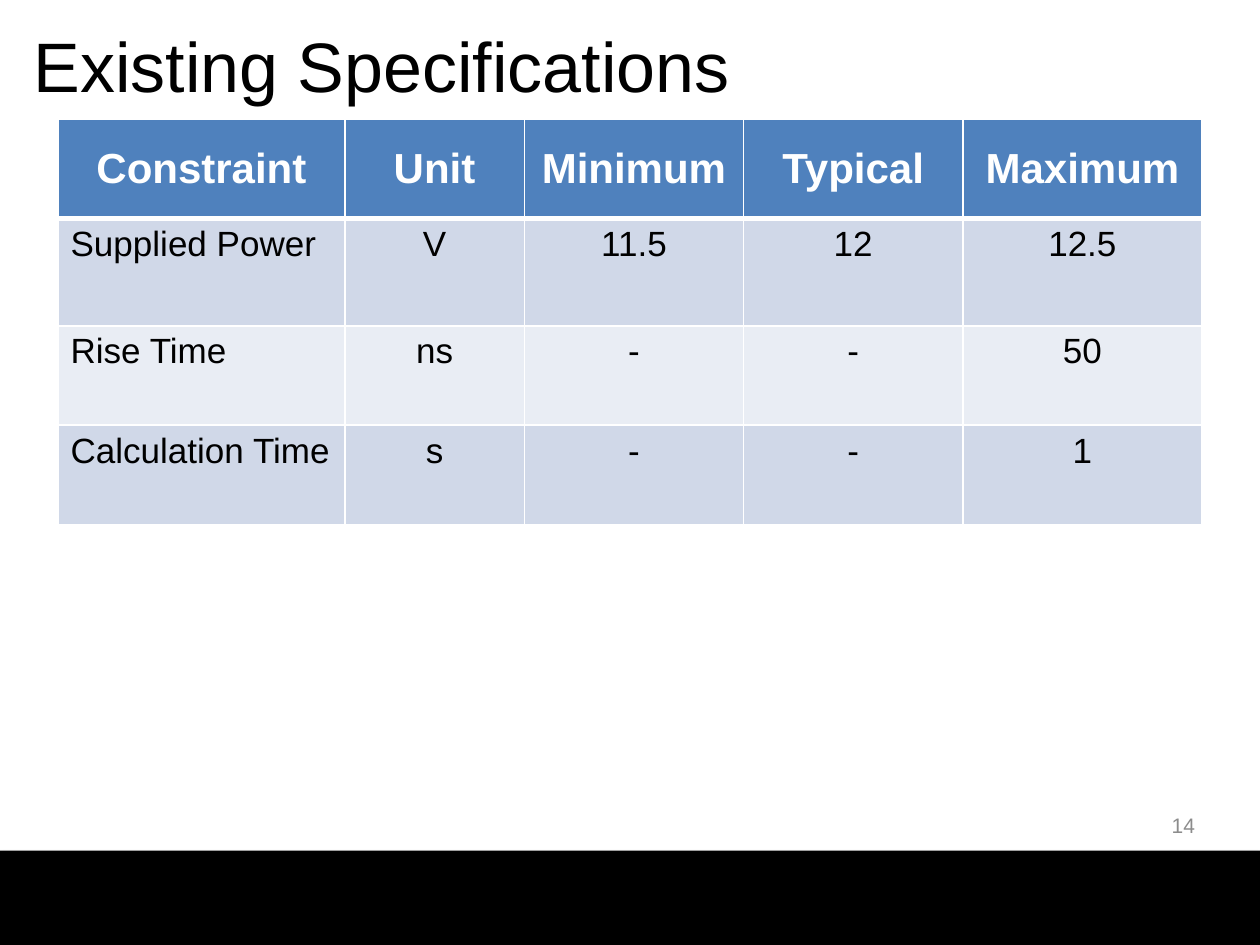
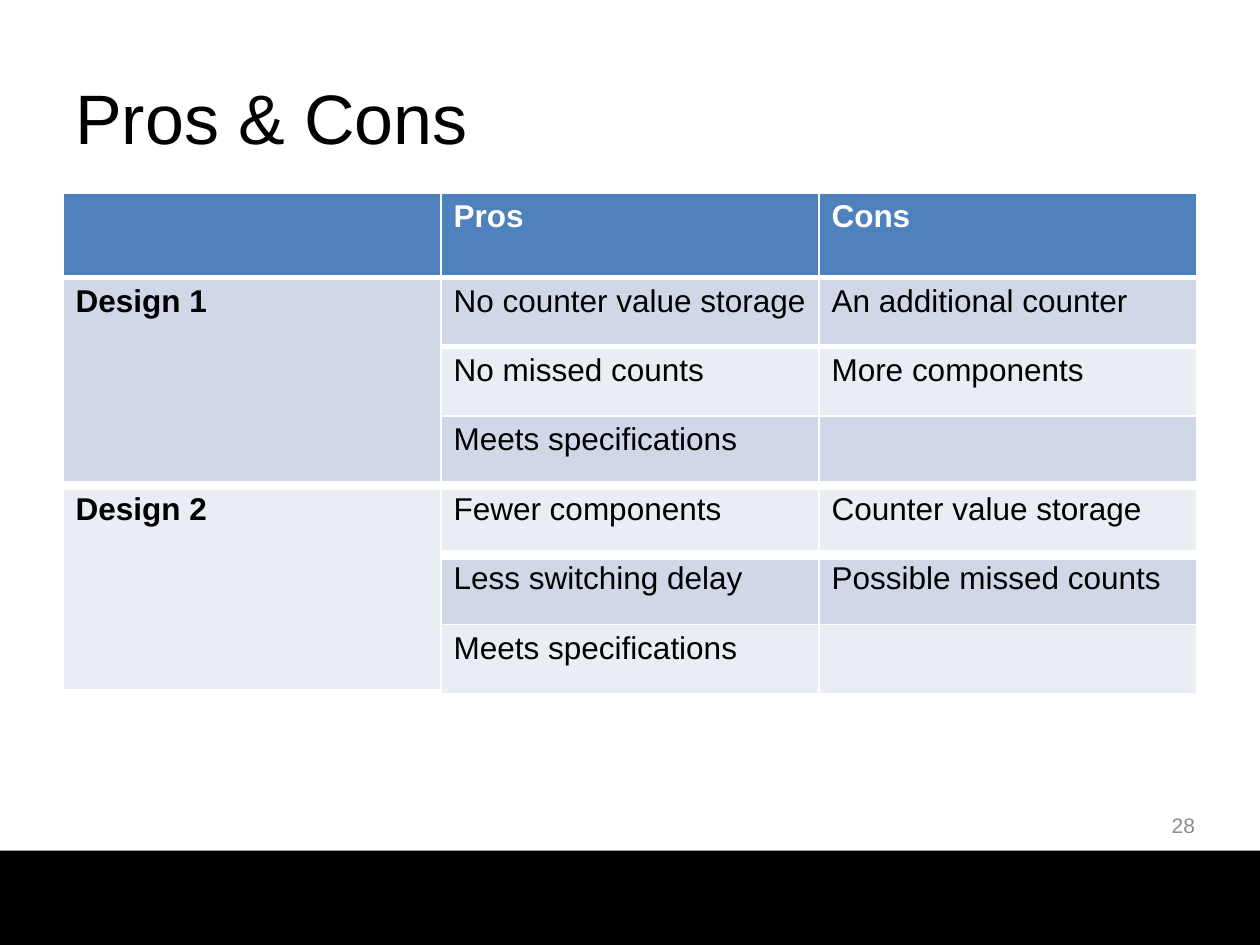
from lxml.etree import SubElement
from pptx import Presentation
from pptx.dml.color import RGBColor
from pptx.enum.shapes import MSO_SHAPE as SHAPE
from pptx.enum.text import MSO_ANCHOR as ANCHOR, PP_ALIGN as ALIGN
from pptx.oxml.ns import qn
from pptx.util import Cm, Pt

FONT = "Arial"
BLACK = RGBColor(0x00, 0x00, 0x00)
WHITE = RGBColor(0xFF, 0xFF, 0xFF)
GREY = RGBColor(0x8C, 0x8C, 0x8C)
HEADER = RGBColor(0x4F, 0x81, 0xBD)
BANDS = (RGBColor(0xE9, 0xED, 0xF4), RGBColor(0xD0, 0xD8, 0xE8))

SPECS = [
    ("Constraint", "Unit", "Minimum", "Typical", "Maximum"),
    ("Supplied Power", "V", "11.5", "12", "12.5"),
    ("Rise Time", "ns", "-", "-", "50"),
    ("Calculation Time", "s", "-", "-", "1"),
]
PROS_CONS = [
    ("", "Pros", "Cons"),
    ("Design 1", "No counter value storage", "An additional counter"),
    ("", "No missed counts", "More components"),
    ("", "Meets specifications", ""),
    ("Design 2", "Fewer components", "Counter value storage"),
    ("", "Less switching delay", "Possible missed counts"),
    ("", "Meets specifications", ""),
]


def add_run(tf, text, size, color, align=ALIGN.LEFT, bold=False):
    p = tf.paragraphs[0]
    p.alignment = align
    r = p.add_run()
    r.text = text
    r.font.name = FONT
    r.font.size = Pt(size)
    r.font.bold = bold
    r.font.color.rgb = color


def add_text(s, box, text, size, color, align=ALIGN.LEFT):
    tf = s.shapes.add_textbox(*map(Cm, box)).text_frame
    tf.word_wrap = True
    tf.vertical_anchor = ANCHOR.MIDDLE
    add_run(tf, text, size, color, align)


def add_footer(s, box, number):
    left, top, width, height = box
    sp = s.shapes.add_shape(SHAPE.RECTANGLE, *map(Cm, box))
    sp.fill.solid()
    sp.fill.fore_color.rgb = BLACK
    sp.line.fill.background()
    sp.shadow.inherit = False
    effects = sp._element.spPr.find(qn("a:effectLst"))
    shadow = SubElement(effects, qn("a:outerShdw"), blurRad=str(Pt(3.1)),
                        dist=str(Pt(1.8)), dir="5400000", rotWithShape="0")
    color = SubElement(shadow, qn("a:srgbClr"), val=str(BLACK))
    SubElement(color, qn("a:alpha"), val="35000")
    add_text(s, (left + width - 6.98, top - 1.02, 5.92, 1.02),
             str(number), 12, GREY, ALIGN.RIGHT)


def set_borders(cell, top, bottom):
    tcPr = cell._tc.get_or_add_tcPr()
    for side, width in zip("LRTB", (1, 1, top, bottom)):
        ln = SubElement(tcPr, qn("a:ln" + side), w=str(Pt(width)))
        fill = SubElement(ln, qn("a:solidFill"))
        SubElement(fill, qn("a:srgbClr"), val=str(WHITE))


def add_grid(s, left, top, data, widths, heights, rules):
    table = s.shapes.add_table(len(data), len(widths), Cm(left), Cm(top),
                               Cm(sum(widths)), Cm(sum(heights))).table
    for col, width in zip(table.columns, widths):
        col.width = Cm(width)
    for i, height in enumerate(heights):
        table.rows[i].height = Cm(height)
        for cell in table.rows[i].cells:
            set_borders(cell, rules[i], rules[i + 1])
            cell.fill.solid()
            cell.fill.fore_color.rgb = BANDS[i % 2] if i else HEADER
    return table


def fill_specs(table):
    for i, row in enumerate(SPECS):
        for j, text in enumerate(row):
            cell = table.cell(i, j)
            if i == 0:
                cell.vertical_anchor = ANCHOR.MIDDLE
                add_run(cell.text_frame, text, 24, WHITE, ALIGN.CENTER, True)
            else:
                add_run(cell.text_frame, text, 20, BLACK,
                        ALIGN.CENTER if j else ALIGN.LEFT)


def fill_pros_cons(table):
    for first in (1, 4):
        table.cell(first, 0).merge(table.cell(first + 2, 0))
    for i, row in enumerate(PROS_CONS):
        for j, text in enumerate(row):
            if text:
                add_run(table.cell(i, j).text_frame, text, 18,
                        BLACK if i else WHITE, bold=i == 0 or j == 0)


def new_slide(prs, title, title_box, number):
    s = prs.slides.add_slide(prs.slide_layouts[6])
    add_footer(s, (0, 17.15, 25.4, 1.9), number)
    add_text(s, title_box, title, 40, BLACK)
    return s


def specs_slide(prs):
    s = new_slide(prs, "Existing Specifications", (0.43, 0.05, 23.52, 2.49), 14)
    table = add_grid(s, 1.17, 2.41, SPECS, (5.78, 3.62, 4.42, 4.42, 4.82),
                     (2, 2.16, 2, 2), (1, 3, 1, 1, 1))
    fill_specs(table)


def pros_cons_slide(prs):
    s = new_slide(prs, "Pros & Cons", (1.27, 0.76, 22.86, 3.18), 28)
    table = add_grid(s, 1.27, 3.89, PROS_CONS, [7.62] * 3,
                     [1.7] + [1.4] * 6, (1, 3, 3, 1, 6, 6, 1, 1))
    fill_pros_cons(table)


def main():
    prs = Presentation()
    prs.slide_width, prs.slide_height = Cm(25.4), Cm(19.05)
    specs_slide(prs)
    pros_cons_slide(prs)
    prs.save("out.pptx")


if __name__ == "__main__":
    main()
